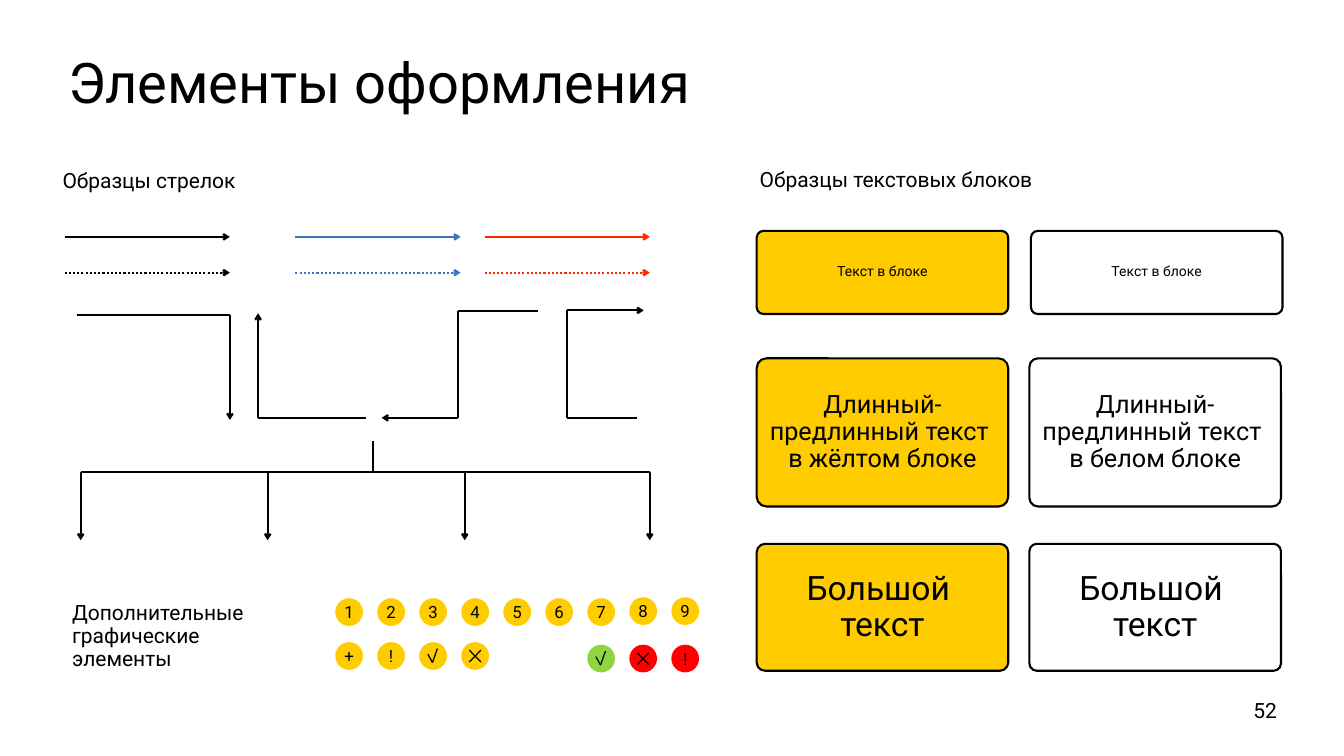
from itertools import pairwise

from lxml import etree
from pptx import Presentation
from pptx.dml.color import RGBColor
from pptx.enum.dml import MSO_LINE
from pptx.enum.shapes import MSO_CONNECTOR, MSO_SHAPE
from pptx.enum.text import MSO_ANCHOR, MSO_AUTO_SIZE, PP_ALIGN
from pptx.oxml.ns import qn
from pptx.util import Pt

LEFT, CENTER, RIGHT = PP_ALIGN.LEFT, PP_ALIGN.CENTER, PP_ALIGN.RIGHT
TOP, MIDDLE = MSO_ANCHOR.TOP, MSO_ANCHOR.MIDDLE
NO_AUTOFIT = MSO_AUTO_SIZE.NONE
STRAIGHT = MSO_CONNECTOR.STRAIGHT
ROUNDED, OVAL = MSO_SHAPE.ROUNDED_RECTANGLE, MSO_SHAPE.OVAL
DOTTED = MSO_LINE.ROUND_DOT

FONT = "Roboto"
COLORS = {
    "black": "000000",
    "white": "FFFFFF",
    "yellow": "FFCC00",
    "blue": "3878BE",
    "scarlet": "FF2604",
    "green": "8FD541",
    "red": "FF0000",
}


def color(name):
    """Return the named colour of the palette."""
    return RGBColor.from_string(COLORS[name])


def write(shape, text, size, align=LEFT, anchor=TOP, insets=(0, 0, 0, 0), spacing=None):
    """Write one paragraph into a shape, with a line break at each newline."""
    frame = shape.text_frame
    frame.word_wrap = True
    frame.auto_size = NO_AUTOFIT
    frame.vertical_anchor = anchor
    frame.margin_left, frame.margin_top, frame.margin_right, frame.margin_bottom = map(Pt, insets)
    paragraph = frame.paragraphs[0]
    paragraph.alignment = align
    if spacing:
        paragraph.line_spacing = spacing
    for index, line in enumerate(text.split("\n")):
        if index:
            paragraph.add_line_break()
        run = paragraph.add_run()
        run.text = line
        run.font.name = FONT
        run.font.size = Pt(size)
        run.font.bold = False
        run.font.color.rgb = color("black")


def add_label(slide, box, text, **options):
    """Add a 30-point text box."""
    write(slide.shapes.add_textbox(*map(Pt, box)), text, 30, **options)


def add_filled(slide, kind, box, fill):
    """Add a filled preset shape without outline or shadow."""
    shape = slide.shapes.add_shape(kind, *map(Pt, box))
    shape.shadow.inherit = False
    shape.fill.solid()
    shape.fill.fore_color.rgb = color(fill)
    shape.line.fill.background()
    return shape


def add_path(slide, origin, points, stroke="black", width=3, dotted=False, arrow=False):
    """Join points by straight connectors, with an optional arrowhead at the end."""
    left, top = origin
    segments = list(pairwise(points))
    for index, ((x1, y1), (x2, y2)) in enumerate(segments):
        connector = slide.shapes.add_connector(
            STRAIGHT, Pt(left + x1), Pt(top + y1), Pt(left + x2), Pt(top + y2))
        connector.line.color.rgb = color(stroke)
        connector.line.width = Pt(width)
        if dotted:
            connector.line.dash_style = DOTTED
        properties = connector.element.spPr
        if arrow and index == len(segments) - 1:
            etree.SubElement(properties.find(qn("a:ln")), qn("a:tailEnd"), type="arrow")
        etree.SubElement(properties, qn("a:effectLst"))


def add_title(slide, box, text):
    """Place and format the title placeholder."""
    title = slide.shapes.title
    title.left, title.top, title.width, title.height = map(Pt, box)
    write(title, text, 80, insets=(7.2, 3.6, 7.2, 3.6), spacing=Pt(100))


def add_straight_arrows(slide, box):
    """Draw a solid and a dotted arrow in each of three colours."""
    left, top, width, height = box
    length = 236
    starts = {"black": 0, "blue": 329.7, "scarlet": width - length}
    for stroke, x in starts.items():
        for y, dotted in ((0, False), (height, True)):
            add_path(slide, (left, top), [(x, y), (x + length, y)], stroke,
                     dotted=dotted, arrow=True)


def add_bent_arrows(slide, box):
    """Draw four bent arrows between the top and the bottom of the box."""
    left, top, width, height = box
    paths = [
        [(0, 7), (219, 7), (219, height + 3)],
        [(413.3, height), (259.2, height), (259.2, 4)],
        [(658.8, 0.7), (544.4, 0.7), (544.4, height), (435.6, height)],
        [(800.7, height), (699.9, height), (699.9, 0), (width, 0)],
    ]
    for points in paths:
        add_path(slide, (left, top), points, arrow=True)


def add_tree(slide, box):
    """Draw a stem that splits into four arrows."""
    left, top, width, height = box
    bar = 44.6
    add_path(slide, (left, top), [(0, bar), (width, bar)])
    add_path(slide, (left, top), [(416.9, 0), (416.9, bar)])
    for x in (0, 267.1, 548.6, width):
        add_path(slide, (left, top), [(x, bar), (x, height)], arrow=True)


def add_badge(slide, box, mark, fill):
    """Add a round badge with a character, a check mark or a cross."""
    left, top, width, height = box
    strokes = {
        "check": [[(12.2, 17), (18.9, 29.2), (25.9, 9.2)]],
        "cross": [[(11.5, 11.5), (28, 28.4)], [(11.5, 28.4), (28, 11.5)]],
    }
    badge = add_filled(slide, OVAL, box, fill)
    if mark in strokes:
        for points in strokes[mark]:
            add_path(slide, (left, top), points, width=1.75)
    else:
        write(badge, mark, 24, CENTER, MIDDLE)


def add_badges(slide, box):
    """Set out the badges on a grid of nine columns."""
    left, top, width, height = box
    size = 39.6
    pitch = (width - size) / 8
    second = height - size
    badges = [(column, 0 if column < 7 else -1.4, str(column + 1), "yellow")
              for column in range(9)]
    badges += [(column, second - 3.7, mark, "yellow")
               for column, mark in enumerate(("+", "!", "check", "cross"))]
    badges += [(6, second, "check", "green"), (7, second, "cross", "red"),
               (8, second, "!", "red")]
    for column, y, mark, fill in badges:
        add_badge(slide, (left + column * pitch, top + y, size, size), mark, fill)


def add_text_blocks(slide, box):
    """Add three rows of text blocks, yellow on the left and white on the right."""
    left, top, width, height = box
    block_width = 359.3
    long_text = "Длинный-предлинный текст \nв {} блоке"
    rows = [
        (0, 118.8, 20, (0.082, 0.082), ("Текст в блоке",) * 2, 2.2),
        (182.1, 211.7, 36, (0.066, 0.058),
         (long_text.format("жёлтом"), long_text.format("белом")), 0),
        (height - 181.4, 181.4, 48, (0.066, 0.058), ("Большой \nтекст",) * 2, 0),
    ]
    for y, block_height, size, corners, texts, shift in rows:
        columns = ((left, "yellow"), (left + width - block_width + shift, "white"))
        for (x, fill), corner, text in zip(columns, corners, texts):
            block = add_filled(slide, ROUNDED, (x, top + y, block_width, block_height), fill)
            block.adjustments[0] = corner
            block.line.color.rgb = color("black")
            block.line.width = Pt(3)
            write(block, text, size, CENTER, MIDDLE, (4.3,) * 4, 0.9)


def main():
    """Build the slide and save it."""
    presentation = Presentation()
    presentation.slide_width, presentation.slide_height = Pt(1919.5), Pt(1080)
    slide = presentation.slides.add_slide(presentation.slide_layouts[5])
    add_title(slide, (90, 60, 1742.4, 118.8), "Элементы оформления")
    left_insets = (0, 3.6, 7.2, 3.6)
    add_label(slide, (89.3, 240.5, 812, 103), "Образцы стрелок", insets=left_insets, spacing=0.9)
    add_label(slide, (1080.7, 237.5, 826, 71), "Образцы текстовых блоков",
              insets=(4.3,) * 4, spacing=0.9)
    add_label(slide, (103, 857.5, 265.7, 103), "Дополнительные\nграфические элементы",
              insets=left_insets, spacing=0.9)
    add_label(slide, (1741, 999.4, 90, 30.2), "52", align=RIGHT, anchor=MIDDLE,
              insets=(7.2, 3.6, 7.2, 3.6))
    add_straight_arrows(slide, (92.2, 338.4, 835.8, 51.1))
    add_bent_arrows(slide, (109.4, 443.5, 810, 153.4))
    add_tree(slide, (115.2, 630, 812.8, 141.8))
    add_badges(slide, (478.8, 854.6, 519.6, 106))
    add_text_blocks(slide, (1080.7, 329.8, 748.8, 628.5))
    presentation.save("out.pptx")


if __name__ == "__main__":
    main()
